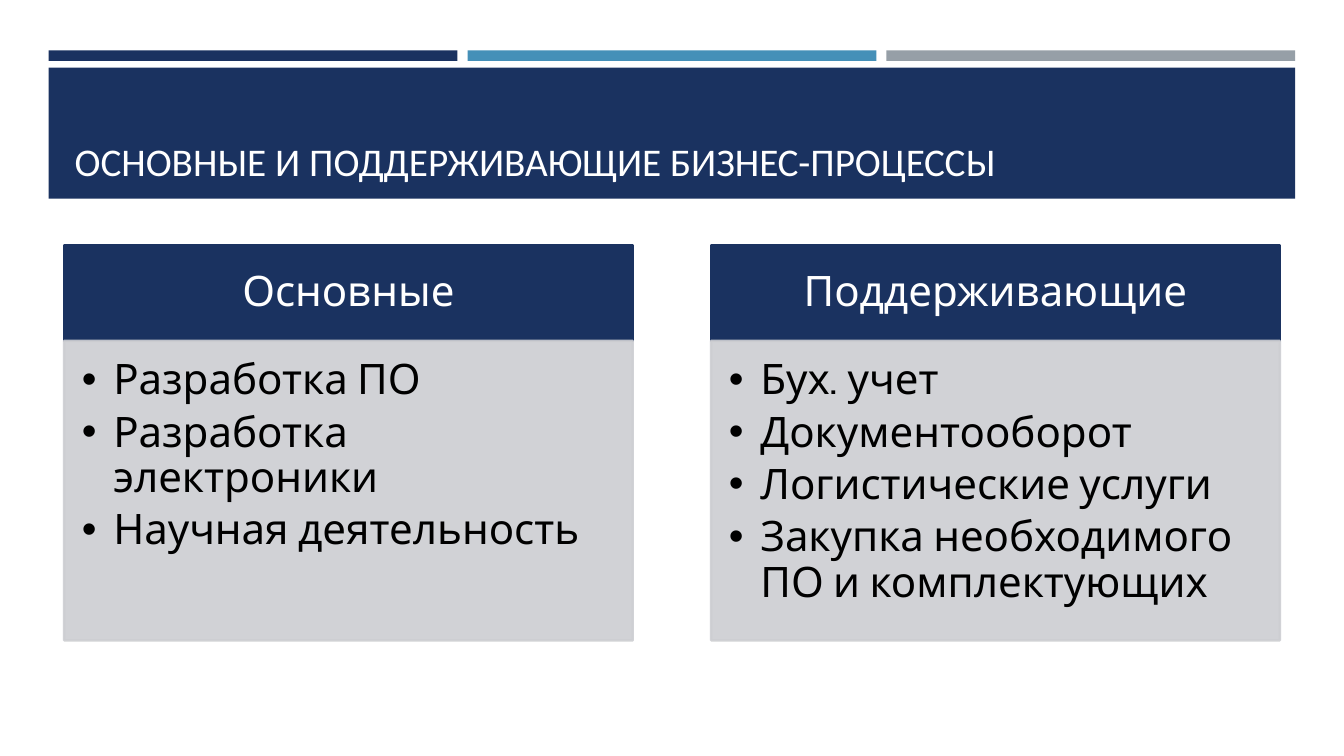
from lxml.etree import SubElement
from pptx import Presentation
from pptx.dml.color import RGBColor
from pptx.enum.shapes import MSO_SHAPE as Preset
from pptx.enum.text import MSO_ANCHOR as Anchor, MSO_AUTO_SIZE as AutoSize, PP_ALIGN as Align
from pptx.oxml.ns import qn
from pptx.util import Pt

NAVY = RGBColor(0x1A, 0x32, 0x60)
BLUE = RGBColor(0x45, 0x90, 0xB8)
GRAY = RGBColor(0x96, 0x9F, 0xA7)
PALE = RGBColor(0xCD, 0xCE, 0xD2)
WHITE = RGBColor(0xFF, 0xFF, 0xFF)
BLACK = RGBColor(0x00, 0x00, 0x00)

TITLE = "ОСНОВНЫЕ И ПОДДЕРЖИВАЮЩИЕ БИЗНЕС-ПРОЦЕССЫ"
PROCESSES = {
    "Основные": ["Разработка ПО", "Разработка электроники", "Научная деятельность"],
    "Поддерживающие": [
        "Бух. учет",
        "Документооборот",
        "Логистические услуги",
        "Закупка необходимого ПО и комплектующих",
    ],
}


def add_block(slide, left, top, width, height, color):
    """Add a plain rectangle without outline or shadow."""
    block = slide.shapes.add_shape(Preset.RECTANGLE, Pt(left), Pt(top), Pt(width), Pt(height))
    block.shadow.inherit = False
    block.fill.solid()
    block.fill.fore_color.rgb = color
    block.line.fill.background()
    return block


def outline(block, color):
    """Draw the block's border."""
    block.line.color.rgb = color
    block.line.width = Pt(1.75)


def set_insets(frame, left, top, right, bottom):
    """Set the inner margins of a text frame."""
    frame.margin_left, frame.margin_top = Pt(left), Pt(top)
    frame.margin_right, frame.margin_bottom = Pt(right), Pt(bottom)
    frame.word_wrap = True


def format_text(paragraph, font_name, size, color):
    """Format every run of a paragraph."""
    for run in paragraph.runs:
        run.font.name, run.font.size = font_name, Pt(size)
        run.font.color.rgb = color


def make_translucent(block):
    """Give the fill and the border of a block 90 % opacity."""
    for color in block.element.spPr.iter(qn("a:srgbClr")):
        SubElement(color, qn("a:alpha"), val="90000")


def add_bullet(paragraph, indent):
    """Add a round bullet with a hanging indent."""
    properties = paragraph._p.get_or_add_pPr()
    properties.set("marL", str(Pt(indent)))
    properties.set("indent", str(-Pt(indent)))
    SubElement(properties, qn("a:buFont"), typeface="Arial")
    SubElement(properties, qn("a:buChar"), char="•")


def build_stripes(slide, left, top, width, height, gap=7.2):
    """Place three equal coloured stripes across the box."""
    colors = [NAVY, BLUE, GRAY]
    stripe_width = (width - gap * (len(colors) - 1)) / len(colors)
    for index, color in enumerate(colors):
        add_block(slide, left + index * (stripe_width + gap), top, stripe_width, height, color)


def build_title(slide, left, top, width, height):
    """Place the title at the bottom of a navy band."""
    band = add_block(slide, left, top, width, height, NAVY)
    title = slide.shapes.title
    title.element.addprevious(band.element)
    title.left, title.top = Pt(left + 11.3), Pt(top + 7.2)
    title.width, title.height = Pt(width - 22.6), Pt(height - 13.7)
    frame = title.text_frame
    frame.text = TITLE
    frame.auto_size = AutoSize.NONE
    frame.vertical_anchor = Anchor.BOTTOM
    set_insets(frame, 7.2, 3.6, 7.2, 3.6)
    frame.paragraphs[0].alignment = Align.LEFT
    format_text(frame.paragraphs[0], "Calibri", 28, WHITE)


def build_column(slide, left, top, width, height, heading, items, heading_height=68):
    """Place a heading above its bulleted list."""
    header = add_block(slide, left, top, width, heading_height, NAVY)
    outline(header, NAVY)
    frame = header.text_frame
    frame.text = heading
    frame.vertical_anchor = Anchor.MIDDLE
    set_insets(frame, 16.8, 9.6, 16.8, 9.6)
    frame.paragraphs[0].alignment = Align.CENTER
    frame.paragraphs[0].line_spacing = 0.9
    format_text(frame.paragraphs[0], "Cabin", 30, WHITE)

    body = add_block(slide, left, top + heading_height, width, height - heading_height, PALE)
    outline(body, PALE)
    make_translucent(body)
    frame = body.text_frame
    frame.text = "\n".join(items)
    frame.vertical_anchor = Anchor.TOP
    set_insets(frame, 12.6, 12.6, 16.8, 18.9)
    for paragraph in frame.paragraphs:
        paragraph.alignment = Align.LEFT
        paragraph.line_spacing = 0.9
        paragraph.space_after = Pt(5)
        add_bullet(paragraph, 22.5)
        format_text(paragraph, "Cabin", 30, BLACK)


def build_columns(slide, left, top, width, height, gap=56):
    """Place the process groups side by side."""
    column_width = (width - gap * (len(PROCESSES) - 1)) / len(PROCESSES)
    for index, (heading, items) in enumerate(PROCESSES.items()):
        column_left = left + index * (column_width + gap)
        build_column(slide, column_left, top, column_width, height, heading, items)


def main():
    """Build and save the slide."""
    deck = Presentation()
    deck.slide_width, deck.slide_height = Pt(960), Pt(540)
    slide = deck.slides.add_slide(deck.slide_layouts[5])
    build_stripes(slide, 34.8, 36, 890.4, 7.5)
    build_title(slide, 34.8, 48.3, 890.4, 93.6)
    build_columns(slide, 45.8, 175.4, 868.4, 282)
    deck.save("out.pptx")


if __name__ == "__main__":
    main()
